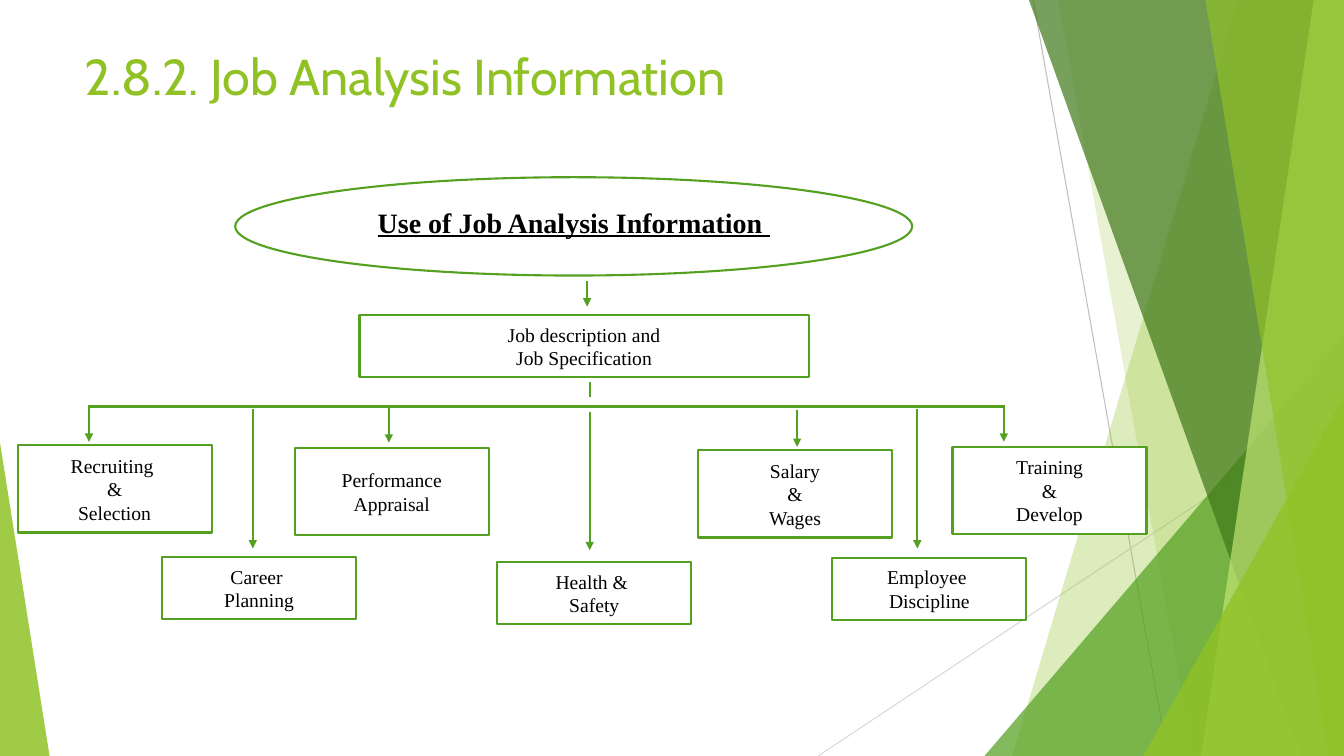
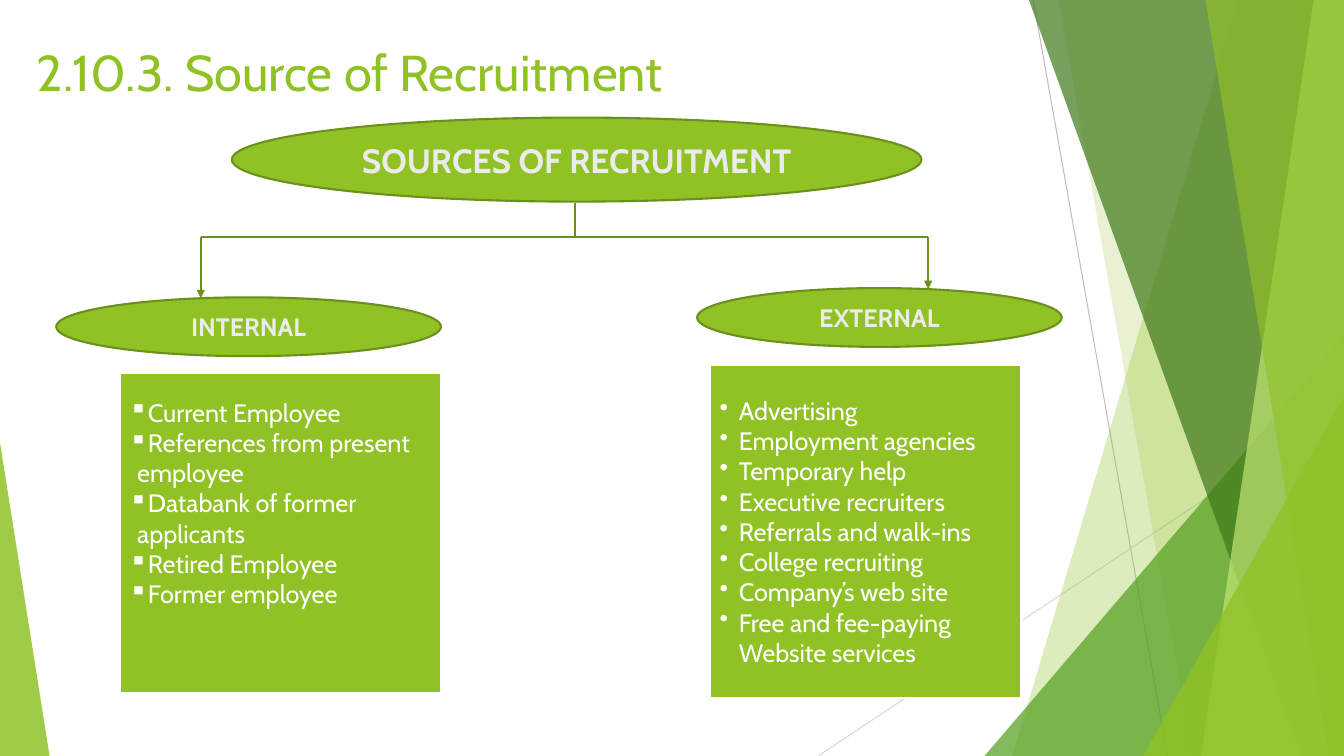
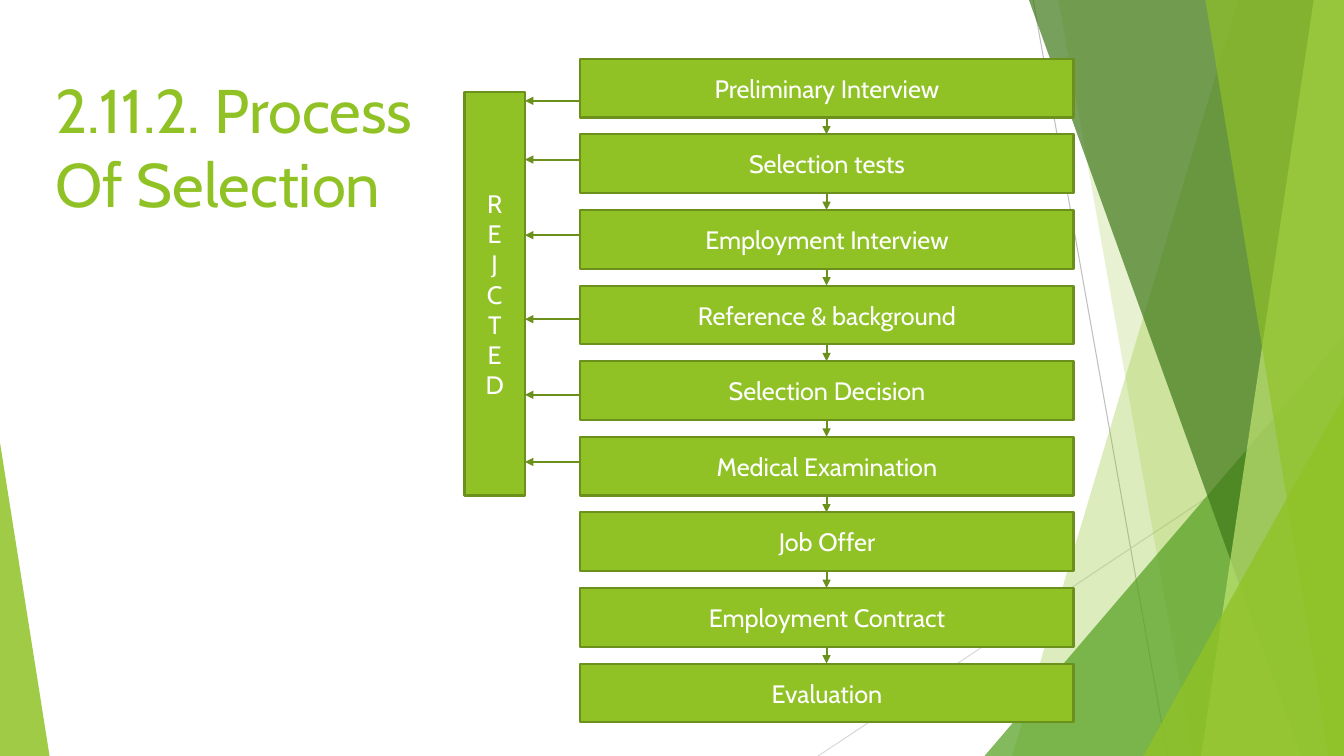
from lxml import etree
from pptx import Presentation
from pptx import util as u
from pptx.dml.color import RGBColor
from pptx.enum import shapes, text
from pptx.oxml.ns import qn

LIME = RGBColor(0x90, 0xC2, 0x26)
OLIVE = RGBColor(0x6B, 0x90, 0x1C)
GREEN = RGBColor(0x54, 0xA0, 0x21)
FOREST = RGBColor(0x3F, 0x78, 0x19)
PALE = RGBColor(0xC0, 0xE4, 0x74)
WHITE = RGBColor(0xFF, 0xFF, 0xFF)
BLACK = RGBColor(0x00, 0x00, 0x00)
MIST = RGBColor(0xEB, 0xEB, 0xEB)
GREY = RGBColor(0xBF, 0xBF, 0xBF)
SILVER = RGBColor(0xD9, 0xD9, 0xD9)
SANS, SERIF = "Cabin", "Times New Roman"
RECT, OVAL = shapes.MSO_SHAPE.RECTANGLE, shapes.MSO_SHAPE.OVAL
COLS, ROWS = 160, 90
CELL = u.Inches(7.5) // ROWS

prs = Presentation()
prs.slide_width, prs.slide_height = COLS * CELL, ROWS * CELL


def box(s, kind, place, words, size, fill=LIME, line=OLIVE, color=WHITE, font=SANS, bold=False, width=1.5):
    sp = s.shapes.add_shape(kind, *[int(n * CELL) for n in place])
    sp.shadow.inherit = False
    sp.fill.solid()
    sp.fill.fore_color.rgb = fill
    sp.line.color.rgb = line
    sp.line.width = u.Pt(width)
    tf = sp.text_frame
    tf.text = words
    tf.word_wrap = False
    tf.vertical_anchor = text.MSO_ANCHOR.MIDDLE
    for p in tf.paragraphs:
        p.alignment = text.PP_ALIGN.CENTER
        p.font.name, p.font.size, p.font.bold = font, u.Pt(size), bold
        p.font.color.rgb = color
    return tf


def link(s, x1, y1, x2, y2, color=OLIVE, arrow=True, width=1.5):
    ends = [int(n * CELL) for n in (x1, y1, x2, y2)]
    c = s.shapes.add_connector(shapes.MSO_CONNECTOR.STRAIGHT, *ends)
    c.line.color.rgb = color
    c.line.width = u.Pt(width)
    if arrow:
        etree.SubElement(c.line._get_or_add_ln(), qn("a:tailEnd"), type="triangle")
    etree.SubElement(c.element.spPr, qn("a:effectLst"))


layout = prs.slide_layouts[5]
slides = []
for title, place, size in [
    ("2.8.2. Job Analysis Information", (8.9, 4.8, 112.8, 17.3), 36),
    ("2.10.3. Source of Recruitment", (3.2, 4.3, 112.8, 17.3), 36),
    ("2.11.2. Process Of Selection", (5.4, 8, 50.9, 24.4), 44),
]:
    s = prs.slides.add_slide(layout)
    sp = s.shapes.title
    sp.left, sp.top, sp.width, sp.height = [int(n * CELL) for n in place]
    tf = sp.text_frame
    tf.text = title
    tf.word_wrap = True
    tf.auto_size = text.MSO_AUTO_SIZE.NONE
    tf.vertical_anchor = text.MSO_ANCHOR.TOP
    p = tf.paragraphs[0]
    p.alignment = text.PP_ALIGN.LEFT
    p.font.name, p.font.size = SANS, u.Pt(size)
    p.font.color.rgb = LIME
    slides.append(s)

s = slides[0]
link(s, 123, 0, 139, ROWS, GREY, False, 0.75)
link(s, COLS, 48.4, 97.4, ROWS, SILVER, False, 0.75)
for kind, a, b, c, color, alpha in [
    ("band", 147.4, 120.5, None, LIME, 30),
    ("band", 126, 142, None, LIME, 20),
    ("corner", 117.2, COLS, 40, GREEN, 72),
    ("band", 122.5, 154.9, None, FOREST, 70),
    ("band", 156.4, 143, None, PALE, 70),
    ("band", 143.5, 158.2, None, LIME, 65),
    ("corner", 136.1, COLS, 47.2, LIME, 80),
    ("corner", 0, 5.9, 52.7, LIME, 85),
]:
    if kind == "band":
        fb = s.shapes.build_freeform(int(a * CELL), 0)
        fb.add_line_segments([(int(x * CELL), y * CELL) for x, y in [(COLS, 0), (COLS, ROWS), (b, ROWS)]])
        sp = fb.convert_to_shape()
    else:
        sp = s.shapes.add_shape(shapes.MSO_SHAPE.ISOSCELES_TRIANGLE,
                                *[int(n * CELL) for n in (a, c, b - a, ROWS - c)])
        sp.adjustments[0] = 1 if b == COLS else 0
    sp.shadow.inherit = False
    sp.line.fill.background()
    sp.fill.solid()
    sp.fill.fore_color.rgb = color
    clr = sp.element.spPr.find(qn("a:solidFill"))[0]
    etree.SubElement(clr, qn("a:alpha"), val=str(alpha * 1000))
decor = [sp.element for sp in s.shapes if not sp.is_placeholder]
for i, el in enumerate(decor):
    layout.shapes.element.insert(2 + i, el)

plain = dict(fill=WHITE, line=GREEN, color=BLACK, font=SERIF)
tf = box(s, OVAL, (28, 21.1, 80.6, 11.7), "Use of Job Analysis Information ", 20, bold=True, **plain)
tf.paragraphs[0].font.underline = True
tf.margin_bottom = u.Pt(10)
box(s, RECT, (42.8, 37.5, 53.5, 7.4), "Job description and\nJob Specification", 14, **plain)
link(s, 69.9, 33.5, 69.9, 36.5, GREEN)
link(s, 70.2, 45.5, 70.2, 47.3, GREEN, False)
link(s, 10.6, 48.4, 119.5, 48.4, GREEN, False)
for words, x, y, h, stem, top, bottom in [
    ("Recruiting \n&\nSelection", 2.1, 53, 10.4, 10.6, 48.2, 52.6),
    ("Performance\nAppraisal", 35.1, 53.3, 10.4, 46.3, 48.4, 52.7),
    ("Salary\n&\nWages", 83.1, 53.6, 10.4, 94.9, 48.8, 53.2),
    ("Training\n&\nDevelop", 113.4, 53.2, 10.4, 119.5, 48.2, 52.6),
    ("Career \nPlanning", 19.3, 66.3, 7.4, 30.1, 48.7, 65.3),
    ("Health & \nSafety", 59.2, 66.9, 7.4, 70.2, 49.1, 65.5),
    ("Employee \nDiscipline", 99.1, 66.4, 7.4, 109.2, 48.7, 65.3),
]:
    box(s, RECT, (x, y, 23.1, h), words, 14, **plain)
    link(s, stem, top, stem, bottom, GREEN)

s = slides[1]
box(s, OVAL, (27.6, 14, 82.1, 10), "SOURCES OF RECRUITMENT", 24, color=MIST, bold=True)
link(s, 68.4, 24.2, 68.4, 28.2, arrow=False)
link(s, 23.9, 28.2, 110.5, 28.2, arrow=False)
internal = ["Current Employee", "References from present", "employee", "Databank of former",
            "applicants", "Retired Employee", "Former employee"]
external = ["Advertising", "Employment agencies", "Temporary help", "Executive recruiters",
            "Referrals and walk-ins", "College recruiting", "Company’s web site",
            "Free and fee-paying", "Website services"]
for head, oval, stem, items, place, bullet, indent, bottom in [
    ("INTERNAL", (6.7, 35.4, 45.8, 7), 23.9, internal, (14.2, 44.3, 38.4, 38.3), "▪", 0.08, 0.65),
    ("EXTERNAL", (83, 34.3, 43.4, 7), 110.5, external, (84.5, 43.4, 37.1, 39.7), "•", 0.19, 0.05),
]:
    link(s, stem, 28.2, stem, oval[1] + 0.1)
    tf = box(s, RECT, place, "\n".join(items), 18, line=WHITE, width=2)
    tf.word_wrap = True
    tf.margin_bottom = u.Inches(bottom)
    for p in tf.paragraphs:
        p.alignment = text.PP_ALIGN.LEFT
        pPr = p._p.get_or_add_pPr()
        pPr.set("marL", str(u.Inches(indent)))
        if p.text not in ("employee", "applicants", "Website services"):
            pPr.set("indent", str(-u.Inches(indent)))
            pPr.insert(0, etree.Element(qn("a:buChar"), char=bullet))
    box(s, OVAL, oval, head, 18, color=MIST, bold=True)

s = slides[2]
steps = ["Preliminary Interview", "Selection tests", "Employment Interview", "Reference & background",
         "Selection Decision", "Medical Examination", "Job Offer", "Employment Contract", "Evaluation"]
first, pitch, height = 7, 9, 7
for i, step in enumerate(steps):
    top = first + i * pitch
    box(s, RECT, (69.1, top, 58.7, height), step, 18)
    if i:
        link(s, 98.4, top - pitch + height, 98.4, top)
box(s, RECT, (55.3, 11, 7.2, 48), "\v".join("REJCTED"), 18)
for y in (12, 19, 28, 38, 47, 55):
    link(s, 69.1, y, 62.5, y)

prs.save("out.pptx")
